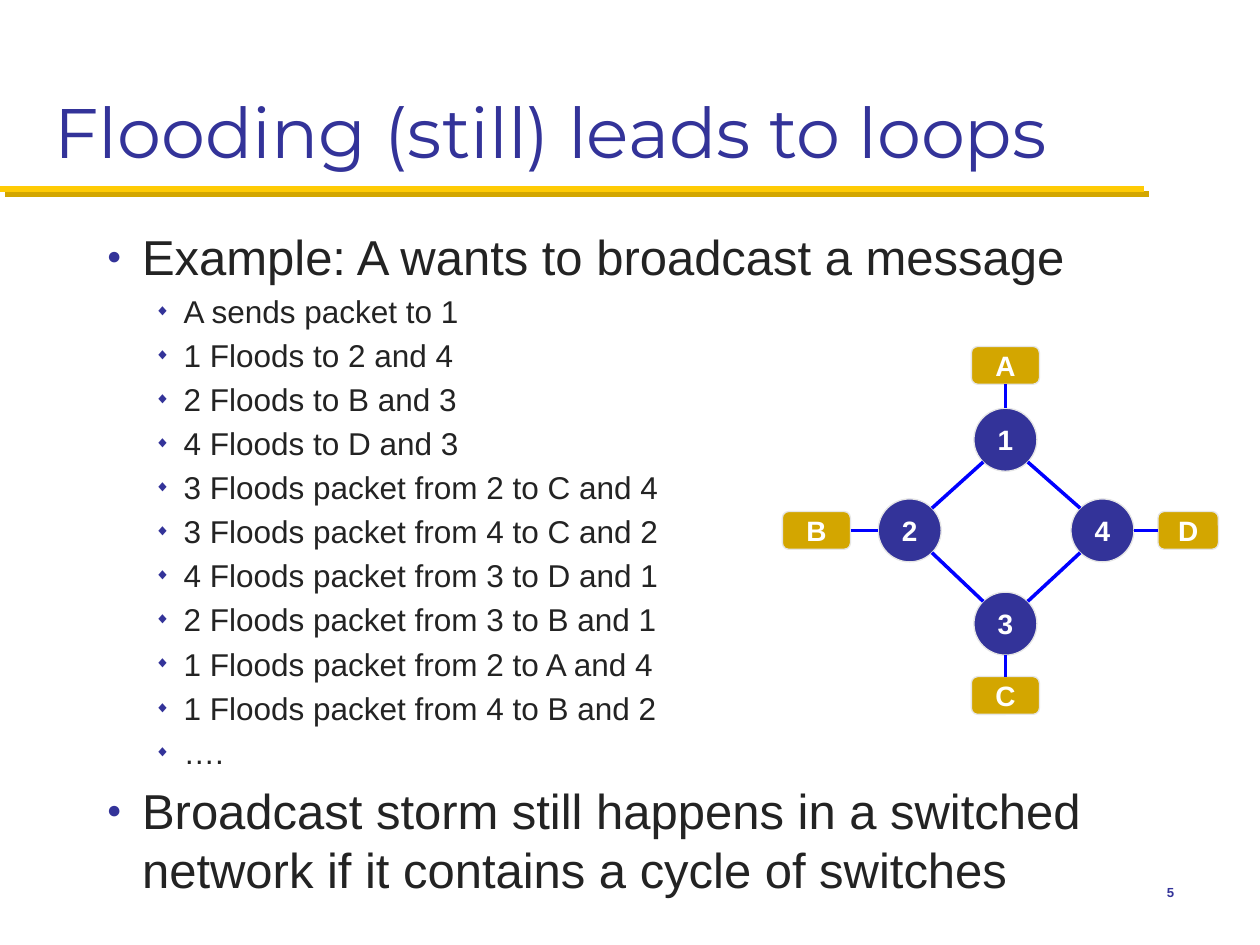
import math

import lxml.etree
import pptx
import pptx.dml.color
import pptx.enum.shapes
import pptx.enum.text
import pptx.oxml.ns
import pptx.util

COLUMNS, ROWS = 100, 75
WIDTH, HEIGHT = pptx.util.Inches(10), pptx.util.Inches(7.5)
SHAPES = pptx.enum.shapes.MSO_SHAPE
ALIGN = pptx.enum.text.PP_ALIGN
ANCHOR = pptx.enum.text.MSO_ANCHOR
NAVY, GOLD, YELLOW, BLUE = "333399", "D3A600", "FFCB05", "0000FF"
INK, PALE, WHITE = "232323", "E6E6E6", "FFFFFF"

LEVELS = [
    {"bullet": "●", "indent": 0.28, "hang": 0.28, "before": 5.6,
     "font": {"size": 28, "name": "Arial", "color": INK}},
    {"bullet": "◆", "indent": 0.61, "hang": 0.23, "before": 3.6,
     "font": {"size": 18, "name": "Arial", "color": INK}},
]
POINTS = [
    (0, "Example: A wants to broadcast a message"),
    (1, "A sends packet to 1"),
    (1, "1 Floods to 2 and 4"),
    (1, "2 Floods to B and 3"),
    (1, "4 Floods to D and 3"),
    (1, "3 Floods packet from 2 to C and 4"),
    (1, "3 Floods packet from 4 to C and 2"),
    (1, "4 Floods packet from 3 to D and 1"),
    (1, "2 Floods packet from 3 to B and 1"),
    (1, "1 Floods packet from 2 to A and 4"),
    (1, "1 Floods packet from 4 to B and 2"),
    (1, "…."),
    (0, "Broadcast storm still happens in a switched network "
        "if it contains a cycle of switches"),
]
SWITCHES = {"1": (17.7, 7.4), "2": (10.1, 14.6), "4": (25.4, 14.6), "3": (17.7, 22)}
HOSTS = {"B": (2.7, 14.6, 5.4), "A": (17.7, 1.5, 5.4),
         "C": (17.7, 27.7, 5.4), "D": (32.2, 14.6, 4.8)}
LINKS = ["12", "23", "34", "41", "A1", "D4", "C3", "B2"]


def color(value):
    return pptx.dml.color.RGBColor.from_string(value)


def across(columns):
    return round(WIDTH * columns / COLUMNS)


def down(rows):
    return round(HEIGHT * rows / ROWS)


def place(left, top, width, height):
    return across(left), down(top), across(width), down(height)


def add_span(para, text, style):
    span = para.add_run()
    span.text = text
    values = {**style, "size": pptx.util.Pt(style["size"])}
    span.font.color.rgb = color(values.pop("color"))
    for name, value in values.items():
        setattr(span.font, name, value)


def add_textbox(page, box, anchor):
    frame = page.shapes.add_textbox(*place(*box)).text_frame
    for name, value in {"word_wrap": True, "vertical_anchor": anchor}.items():
        setattr(frame, name, value)
    return frame


def add_line(page, start, end, line_color, weight):
    line = page.shapes.add_connector(
        pptx.enum.shapes.MSO_CONNECTOR.STRAIGHT,
        across(start[0]), down(start[1]), across(end[0]), down(end[1]))
    line.line.color.rgb = color(line_color)
    line.line.width = pptx.util.Pt(weight)
    lxml.etree.SubElement(line._element.spPr, pptx.oxml.ns.qn("a:effectLst"))


def add_bullet(para, level):
    properties = para._p.get_or_add_pPr()
    properties.set("marL", str(pptx.util.Inches(level["indent"])))
    properties.set("indent", str(-pptx.util.Inches(level["hang"])))
    tint = lxml.etree.SubElement(properties, pptx.oxml.ns.qn("a:buClr"))
    for parent, tag, name, value in [
            (tint, "a:srgbClr", "val", NAVY),
            (properties, "a:buSzPct", "val", "50000"),
            (properties, "a:buFont", "typeface", "Arial"),
            (properties, "a:buChar", "char", level["bullet"])]:
        lxml.etree.SubElement(parent, pptx.oxml.ns.qn(tag)).set(name, value)


def add_heading(page, box, text):
    frame = add_textbox(page, box, ANCHOR.BOTTOM)
    add_span(frame.paragraphs[0], text,
             {"size": 40, "name": "Montserrat", "color": NAVY})


def add_rule(page, left, top, width):
    for offset, tint in [(0.42, GOLD), (0, YELLOW)]:
        add_line(page, (left + offset, top + offset),
                 (left + width + offset, top + offset), tint, 3.5)


def add_points(page, box, points):
    frame = add_textbox(page, box, ANCHOR.TOP)
    for index, (depth, text) in enumerate(points):
        level = LEVELS[depth]
        para = frame.add_paragraph() if index else frame.paragraphs[0]
        add_bullet(para, level)
        para.level = depth
        para.space_before = pptx.util.Pt(level["before"] if index else 0)
        add_span(para, text, level["font"])


def add_node(page, kind, center, size, fill, text):
    node = page.shapes.add_shape(kind, *place(
        center[0] - size[0] / 2, center[1] - size[1] / 2, *size))
    node.shadow.inherit = False
    node.fill.solid()
    node.fill.fore_color.rgb = color(fill)
    node.line.color.rgb = color(PALE)
    node.line.width = pptx.util.Pt(0.75)
    frame = node.text_frame
    for name, value in {"margin_left": 0, "margin_right": 0, "margin_top": 0,
                        "margin_bottom": 0, "vertical_anchor": ANCHOR.MIDDLE}.items():
        setattr(frame, name, value)
    para = frame.paragraphs[0]
    para.alignment = ALIGN.CENTER
    add_span(para, text, {"size": 16, "name": "Arial", "bold": True, "color": WHITE})


def edge_point(node, other):
    center, size = node
    steps = [(b > a) - (b < a) for a, b in zip(center, other[0])]
    reach = math.sqrt(0.5) if all(steps) else 1
    return [middle + step * reach * length / 2
            for middle, step, length in zip(center, steps, size)]


def add_network(page, left, top):
    nodes = {}
    for name, (x, y) in SWITCHES.items():
        nodes[name] = ((left + x, top + y), (5, 5))
        add_node(page, SHAPES.OVAL, *nodes[name], NAVY, name)
    for name, (x, y, width) in HOSTS.items():
        nodes[name] = ((left + x, top + y), (width, 3))
        add_node(page, SHAPES.ROUNDED_RECTANGLE, *nodes[name], GOLD, name)
    for first, second in LINKS:
        start, end = nodes[first], nodes[second]
        add_line(page, edge_point(start, end), edge_point(end, start), BLUE, 2)


def add_page_number(page, box, text):
    para = add_textbox(page, box, ANCHOR.MIDDLE).paragraphs[0]
    para.alignment = ALIGN.RIGHT
    add_span(para, text, {"size": 7.5, "name": "Arial", "bold": True, "color": NAVY})


def main():
    deck = pptx.Presentation()
    deck.slide_width, deck.slide_height = WIDTH, HEIGHT
    page = deck.slides.add_slide(deck.slide_layouts[6])
    add_rule(page, 0, 15, 90.8)
    add_heading(page, (3.33, 1.7, 93.3, 12.5), "Flooding (still) leads to loops")
    add_points(page, (7.5, 17.5, 86.7, 48.3), POINTS)
    add_network(page, 62.1, 27.5)
    add_page_number(page, (87.5, 68.3, 6.67, 5), "5")
    deck.save("out.pptx")


if __name__ == "__main__":
    main()
